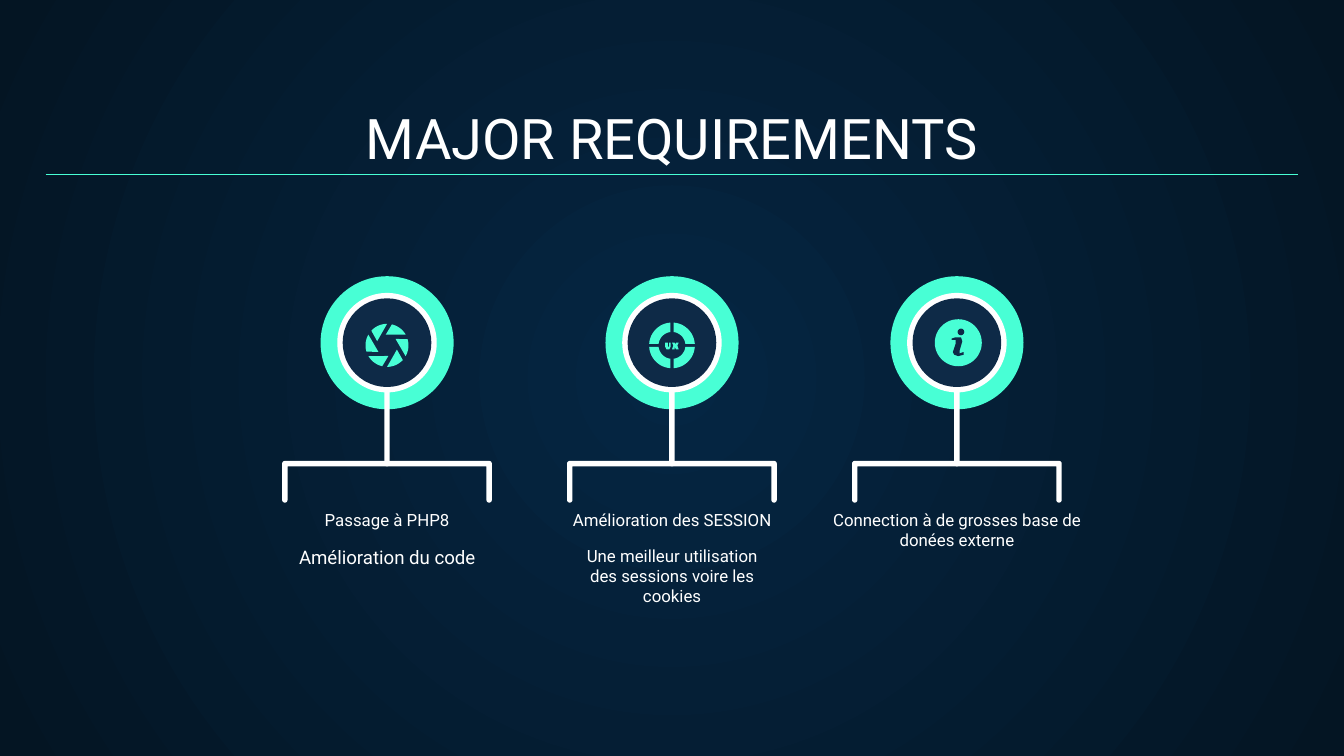
from dataclasses import dataclass
from math import cos, radians, sin

from lxml import etree
from pptx import Presentation
from pptx.dml.color import RGBColor
from pptx.enum.shapes import MSO_CONNECTOR, MSO_SHAPE
from pptx.enum.text import MSO_ANCHOR, MSO_AUTO_SIZE, PP_ALIGN
from pptx.oxml.ns import qn
from pptx.util import Inches, Pt

OVAL = MSO_SHAPE.OVAL
ROUNDED = MSO_SHAPE.ROUNDED_RECTANGLE
STRAIGHT = MSO_CONNECTOR.STRAIGHT
TOP, BOTTOM = MSO_ANCHOR.TOP, MSO_ANCHOR.BOTTOM
CENTER = PP_ALIGN.CENTER
NO_AUTOFIT = MSO_AUTO_SIZE.NONE


@dataclass(frozen=True)
class Theme:
    font: str = "Roboto"
    white: RGBColor = RGBColor(0xFF, 0xFF, 0xFF)
    mint: RGBColor = RGBColor(0x48, 0xFF, 0xD5)
    navy: RGBColor = RGBColor(0x0E, 0x2A, 0x47)
    glow: RGBColor = RGBColor(0x05, 0x26, 0x43)
    edge: RGBColor = RGBColor(0x04, 0x15, 0x23)
    title_size: float = 30
    body_size: float = 10
    label_size: float = 9


THEME = Theme()
WIDTH = 10
HEIGHT = WIDTH * 9 / 16
MARGIN = 0.34
COLUMN_STEP = 2.12
MEDAL_Y = 2.55
ICON_Y = 2.57
STROKE = 0.04
INSET = 0.1

LETTER_U = [(-0.05, -0.02), (-0.03, -0.02), (-0.03, 0.01), (-0.02, 0.01),
            (-0.02, -0.02), (-0.01, -0.02), (-0.01, 0.01), (-0.02, 0.03),
            (-0.04, 0.03), (-0.05, 0.01)]
LETTER_X = [(0, -0.02), (0.02, -0.02), (0.03, -0.01), (0.03, -0.02), (0.05, -0.02),
            (0.04, 0), (0.05, 0.03), (0.03, 0.03), (0.02, 0.01), (0.02, 0.03),
            (0, 0.03), (0.01, 0)]
LETTER_I = [(-0.05, -0.04), (-0.02, -0.05), (0.02, -0.05), (0.03, -0.02),
            (0.01, 0.05), (0.01, 0.07), (0.04, 0.06), (0.04, 0.08),
            (0, 0.09), (-0.03, 0.08), (-0.04, 0.06), (-0.02, 0), (-0.02, -0.03),
            (-0.05, -0.03)]


def paint(shape, color):
    shape.shadow.inherit = False
    shape.fill.solid()
    shape.fill.fore_color.rgb = color
    shape.line.fill.background()


def add_disc(slide, x, y, diameter, color):
    shape = slide.shapes.add_shape(OVAL, Inches(x - diameter / 2), Inches(y - diameter / 2),
                                   Inches(diameter), Inches(diameter))
    paint(shape, color)


def add_outline(slide, x, y, points, color):
    corners = [(Inches(x + across), Inches(y + down)) for across, down in points]
    builder = slide.shapes.build_freeform(*corners[0], scale=1.0)
    builder.add_line_segments(corners[1:], close=True)
    paint(builder.convert_to_shape(), color)


def arc(radius, start, end, x=0, y=0, steps=12):
    angles = [radians(start + (end - start) * i / steps) for i in range(steps + 1)]
    return [(x + radius * cos(angle), y + radius * sin(angle)) for angle in angles]


def format_text(shape, text, box, size, anchor):
    shape.left, shape.top, shape.width, shape.height = map(Inches, box)
    frame = shape.text_frame
    frame.text = text
    frame.word_wrap = True
    frame.auto_size = NO_AUTOFIT
    frame.vertical_anchor = anchor
    frame.margin_left = frame.margin_right = Inches(INSET)
    frame.margin_top = frame.margin_bottom = Inches(INSET)
    paragraph = frame.paragraphs[0]
    paragraph.alignment = CENTER
    font = paragraph.runs[0].font
    font.name, font.size, font.color.rgb = THEME.font, Pt(size), THEME.white


def add_text(slide, text, center, top, width, height, size, anchor):
    shape = slide.shapes.add_textbox(0, 0, 0, 0)
    box = (center - width / 2, top, width, height)
    format_text(shape, text, box, size, anchor)


def add_background(slide):
    fill = slide.background.fill
    fill.gradient()
    for stop, color in zip(fill.gradient_stops, (THEME.glow, THEME.edge)):
        stop.color.rgb = color
    gradient = slide.element.find(".//" + qn("a:gradFill"))
    gradient.remove(gradient.find(qn("a:lin")))
    shade = etree.SubElement(gradient, qn("a:path"), path="circle")
    etree.SubElement(shade, qn("a:fillToRect"), l="50000", t="50000", r="50000", b="50000")


def add_rule(slide, y):
    rule = slide.shapes.add_connector(STRAIGHT, Inches(MARGIN), Inches(y),
                                      Inches(WIDTH - MARGIN), Inches(y))
    rule.line.color.rgb = THEME.mint
    rule.line.width = Pt(0.75)
    etree.SubElement(rule.element.spPr, qn("a:effectLst"))


def add_bracket(slide, x):
    cap = STROKE / 2
    post, depth = 0.76, 0.31
    points = (arc(cap, 0, 180, -post, depth - cap)
              + arc(cap, 180, 270, -post, cap)
              + arc(cap, 270, 360, post, cap)
              + arc(cap, 0, 180, post, depth - cap)
              + [(post - cap, STROKE), (cap - post, STROKE)])
    add_outline(slide, x, 3.43, points, THEME.white)


def add_stem(slide, x):
    stem = slide.shapes.add_shape(ROUNDED, Inches(x - STROKE / 2), Inches(2.48),
                                  Inches(STROKE), Inches(0.99))
    stem.adjustments[0] = 0.5
    paint(stem, THEME.white)


def add_medal(slide, x):
    add_bracket(slide, x)
    add_disc(slide, x, MEDAL_Y, 0.99, THEME.mint)
    add_stem(slide, x)
    add_disc(slide, x, MEDAL_Y, 0.74, THEME.white)
    add_disc(slide, x, MEDAL_Y, 0.66, THEME.navy)


def add_aperture_icon(slide, x):
    for turn in range(30, 390, 60):
        blade = arc(0.16, turn, turn - 47) + arc(0.08, turn - 67, turn - 67, steps=1)
        add_outline(slide, x, ICON_Y, blade, THEME.mint)


def add_ux_icon(slide, x):
    for turn in range(0, 360, 90):
        sector = arc(0.17, turn + 4, turn + 86) + arc(0.1, turn + 83, turn + 7)
        add_outline(slide, x, ICON_Y, sector, THEME.mint)
    for letter in (LETTER_U, LETTER_X):
        add_outline(slide, x, ICON_Y, letter, THEME.mint)


def add_info_icon(slide, x):
    center = x + 0.01
    add_disc(slide, center, MEDAL_Y, 0.35, THEME.mint)
    add_disc(slide, center + 0.02, MEDAL_Y - 0.08, 0.05, THEME.navy)
    add_outline(slide, center, MEDAL_Y + 0.01, LETTER_I, THEME.navy)


def main():
    presentation = Presentation()
    presentation.slide_width, presentation.slide_height = Inches(WIDTH), Inches(HEIGHT)
    slide = presentation.slides.add_slide(presentation.slide_layouts[5])
    add_background(slide)
    format_text(slide.shapes.title, "MAJOR REQUIREMENTS",
                (MARGIN, 0.71, WIDTH - 2 * MARGIN, 0.66), THEME.title_size, BOTTOM)

    requirements = [
        ("Passage à PHP8", 3.83, "Amélioration du code", THEME.body_size,
         add_aperture_icon),
        ("Amélioration des SESSION", 3.83,
         "Une meilleur utilisation des sessions voire les cookies", THEME.label_size,
         add_ux_icon),
        ("Connection à de grosses base de donées externe", 3.98, None, None,
         add_info_icon),
    ]
    for column, (label, label_top, detail, detail_size, add_icon) in enumerate(requirements):
        center = WIDTH / 2 + (column - 1) * COLUMN_STEP
        add_medal(slide, center)
        add_icon(slide, center)
        add_text(slide, label, center, label_top, 2.27, 0.21, THEME.label_size, BOTTOM)
        if detail:
            add_text(slide, detail, center, 3.96, 1.52, 0.55, detail_size, TOP)
    add_rule(slide, 1.3)
    presentation.save("out.pptx")


if __name__ == "__main__":
    main()
